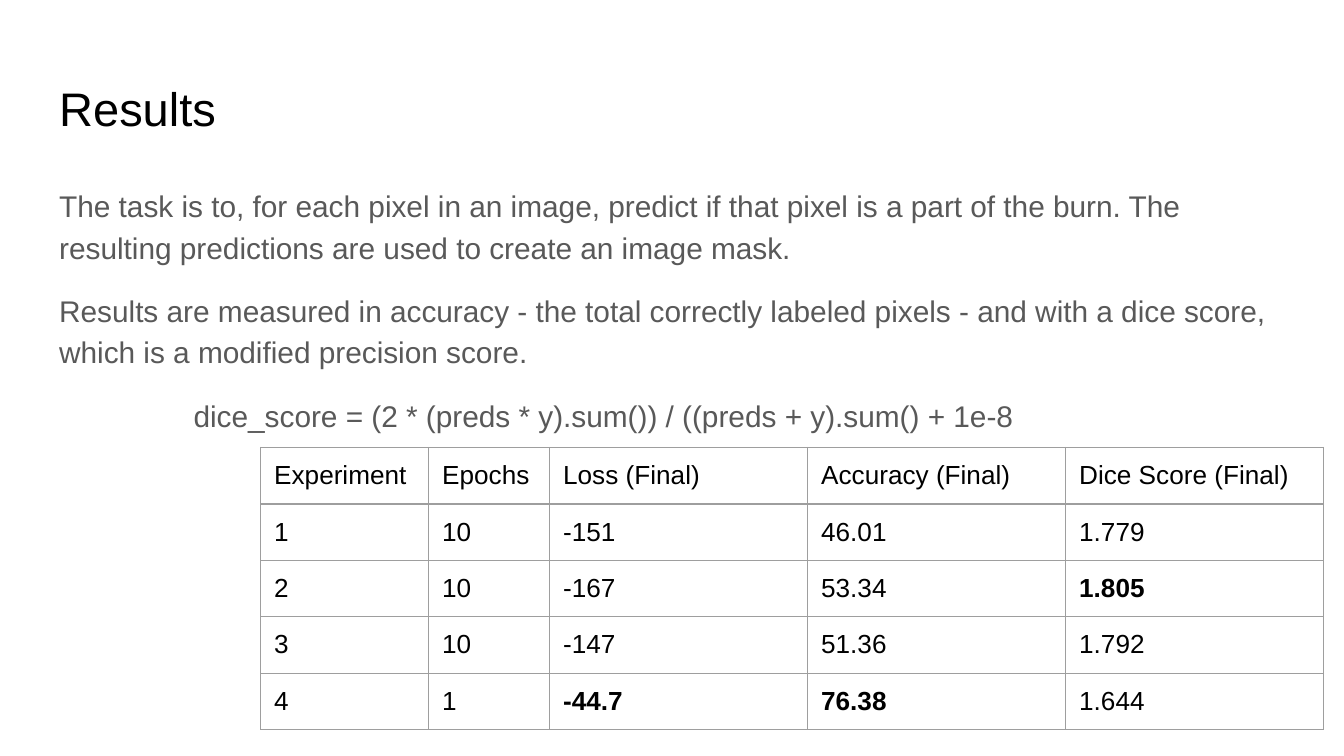
from lxml import etree
from pptx import Presentation
from pptx.dml.color import RGBColor
from pptx.enum.text import MSO_ANCHOR, MSO_AUTO_SIZE, PP_ALIGN
from pptx.oxml.ns import qn
from pptx.util import Inches, Pt

LEFT = PP_ALIGN.LEFT
TOP = MSO_ANCHOR.TOP
NO_FIT = MSO_AUTO_SIZE.NONE
BLACK = RGBColor(0x00, 0x00, 0x00)
GRAY = RGBColor(0x59, 0x59, 0x59)
RULE = RGBColor(0x9E, 0x9E, 0x9E)
FONT = "Arial"
PAD = Inches(0.1)


def style(para, size, color, bold=False):
    para.alignment = LEFT
    for run in para.runs:
        run.font.name = FONT
        run.font.size = Pt(size)
        run.font.bold = bold
        run.font.color.rgb = color


def place(shape, top, height):
    shape.left, shape.top = Inches(0.34), Inches(top)
    shape.width, shape.height = Inches(9.32), Inches(height)
    frame = shape.text_frame
    frame.margin_left = frame.margin_right = PAD
    frame.margin_top = frame.margin_bottom = PAD
    frame.vertical_anchor = TOP
    frame.word_wrap = True
    frame.auto_size = NO_FIT
    return frame


deck = Presentation()
deck.slide_width = Inches(10)
deck.slide_height = Inches(10) * 9 // 16
slide = deck.slides.add_slide(deck.slide_layouts[1])

title = place(slide.shapes.title, 0.49, 0.63)
title.text = "Results"
style(title.paragraphs[0], 25.2, BLACK)

body = place(slide.placeholders[1], 1.26, 3.74)
lines = [
    "The task is to, for each pixel in an image, predict if that pixel is a part of the burn. "
    "The resulting predictions are used to create an image mask.",
    "Results are measured in accuracy - the total correctly labeled pixels - and with a dice score, "
    "which is a modified precision score.",
    "\tdice_score = (2 * (preds * y).sum()) / ((preds + y).sum() + 1e-8",
]
body.text = "\n".join(lines)
for i, para in enumerate(body.paragraphs):
    indent = Inches(0.5) if para.text.startswith("\t") else 0
    props = para._p.get_or_add_pPr()
    props.set("marL", "0")
    props.set("indent", str(indent))
    etree.SubElement(props, qn("a:buNone"))
    para.line_spacing = 1.15
    para.space_before = Pt(12 if i else 0)
    style(para, 16, GRAY)

rows = [
    ["Experiment", "Epochs", "Loss (Final)", "Accuracy (Final)", "Dice Score (Final)"],
    ["1", "10", "-151", "46.01", "1.779"],
    ["2", "10", "-167", "53.34", "1.805"],
    ["3", "10", "-147", "51.36", "1.792"],
    ["4", "1", "-44.7", "76.38", "1.644"],
]
best = {"1.805", "-44.7", "76.38"}
widths = [1.25, 0.9, 1.92, 1.92, 1.92]
high = 0.42
grid = slide.shapes.add_table(
    len(rows), len(widths), Inches(1.94), Inches(3.33),
    Inches(sum(widths)), Inches(high * len(rows)),
).table
grid.first_row = False
grid.horz_banding = False
for col, width in zip(grid.columns, widths):
    col.width = Inches(width)
for r, row in enumerate(rows):
    grid.rows[r].height = Inches(high)
    for c, word in enumerate(row):
        cell = grid.cell(r, c)
        cell.text_frame.text = word
        style(cell.text_frame.paragraphs[0], 14, BLACK, word in best)
        cell.margin_left = cell.margin_right = PAD
        cell.margin_top = cell.margin_bottom = PAD
        cell.vertical_anchor = TOP
        props = cell._tc.get_or_add_tcPr()
        for side in ("a:lnL", "a:lnR", "a:lnT", "a:lnB"):
            line = etree.SubElement(props, qn(side), w=str(Pt(0.75)))
            fill = etree.SubElement(line, qn("a:solidFill"))
            etree.SubElement(fill, qn("a:srgbClr"), val=str(RULE))
        cell.fill.background()

deck.save("out.pptx")
